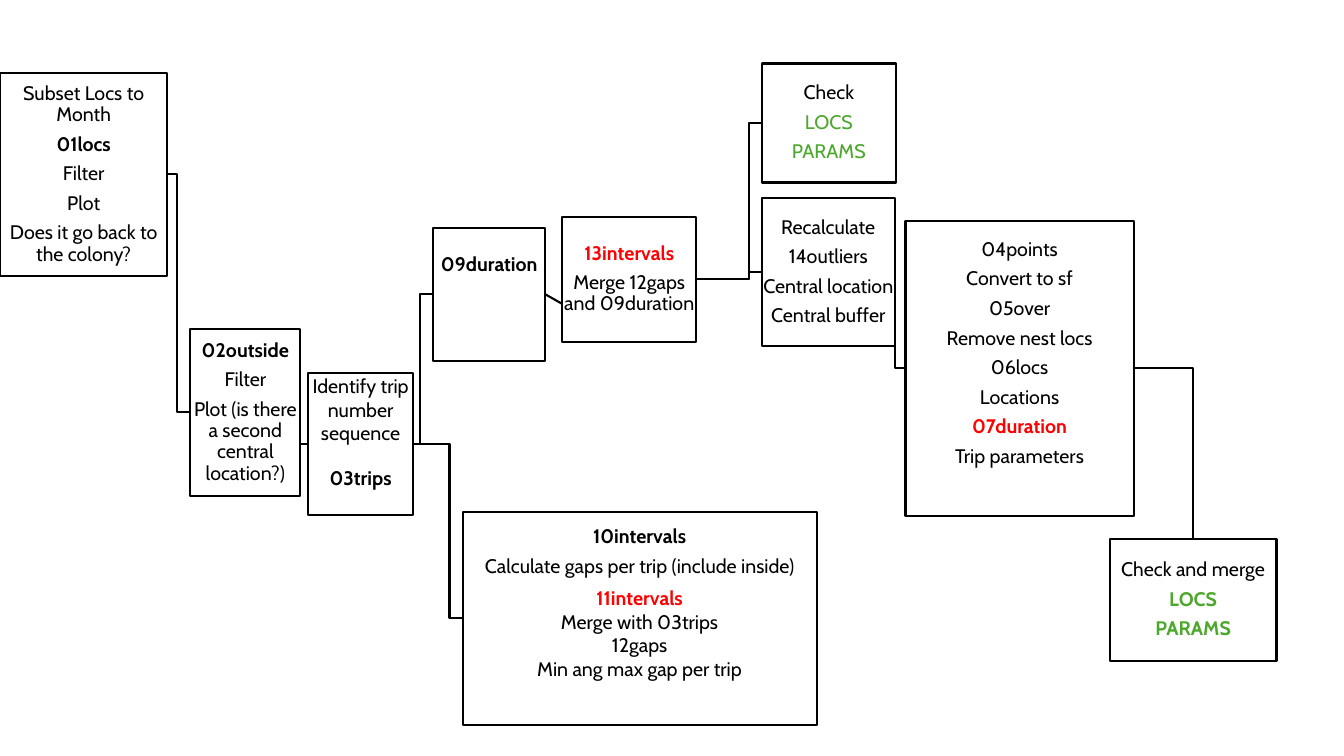
"""Build a slide with a branching flowchart of a trip-analysis workflow."""
from lxml.etree import SubElement
from pptx import Presentation
from pptx.dml.color import RGBColor
from pptx.enum.shapes import MSO_CONNECTOR as CONN, MSO_SHAPE as SHAPE
from pptx.enum.text import MSO_ANCHOR as ANCHOR, PP_ALIGN as ALIGN
from pptx.oxml.ns import qn
from pptx.util import Cm, Pt

COLORS = {"ink": "000000", "paper": "FFFFFF", "red": "FF0000", "green": "4EA72E"}
FONT = "Cabin"
BEND = Cm(0.33)
BLANK_LINE = 0.74

BOLD = {"bold": True}
RED = {"bold": True, "color": "red"}
GREEN = {"color": "green"}
TIGHT = {"spacing": 1.0, "after": 0}

STEPS = {
    "locs": ((0, 1.83, 4.22, 5.13), {}, [
        ("Subset Locs to Month", {}), ("01locs", BOLD), ("Filter", {}),
        ("Plot", {}), ("Does it go back to the colony?", {})]),
    "outside": ((4.8, 8.28, 2.77, 4.22), {}, [
        ("02outside", BOLD), ("Filter", {}),
        ("Plot (is there a second central location?)", {})]),
    "trips": ((7.77, 9.4, 2.64, 3.58), {"anchor": ANCHOR.TOP}, [
        ("Identify trip number sequence", TIGHT),
        ("03trips", {"bold": True, "before": 17})]),
    "duration": ((10.92, 5.74, 2.82, 3.35), {"lift": 2 * BLANK_LINE}, [
        ("09duration", BOLD)]),
    "merge": ((14.17, 5.46, 3.38, 3.15), {}, [
        ("13intervals", RED), ("Merge 12gaps and 09duration", {})]),
    "check": ((19.2, 1.6, 3.38, 3), {}, [
        ("Check", {}), ("LOCS", GREEN), ("PARAMS", GREEN)]),
    "recalculate": ((19.2, 5, 3.35, 3.72), {}, [
        ("Recalculate", {}), ("14outliers", {}),
        ("Central location", {}), ("Central buffer", {})]),
    "points": ((22.82, 5.56, 5.75, 7.44), {"lift": BLANK_LINE}, [
        ("04points", {}), ("Convert to sf", {}), ("05over", {}),
        ("Remove nest locs", {}), ("06locs", {}), ("Locations", {}),
        ("07duration", RED), ("Trip parameters", {})]),
    "final": ((27.97, 13.59, 4.2, 3.06), {}, [
        ("Check and merge", {}), ("LOCS", BOLD | GREEN), ("PARAMS", BOLD | GREEN)]),
    "gaps": ((11.66, 12.9, 8.92, 5.36), {"lift": BLANK_LINE}, [
        ("10intervals", BOLD), ("Calculate gaps per trip (include inside)", {}),
        ("11intervals", RED | TIGHT), ("Merge with 03trips", TIGHT),
        ("12gaps", TIGHT), ("Min ang max gap per trip", TIGHT)]),
}

ELBOWS = [("trips", "gaps"), ("recalculate", "points"), ("merge", "recalculate"),
          ("merge", "check"), ("trips", "duration"), ("outside", "trips"),
          ("locs", "outside")]


def rgb(name):
    """Return the named colour."""
    return RGBColor.from_string(COLORS[name])


def style_line(shape):
    """Give a shape or connector the common outline."""
    shape.line.color.rgb = rgb("ink")
    shape.line.width = Pt(1.5)


def add_text(p, text, bold=False, color="ink", spacing=0.9, before=0, after=6):
    """Write one centred, formatted paragraph."""
    p.alignment = ALIGN.CENTER
    p.line_spacing = spacing
    p.space_before, p.space_after = Pt(before), Pt(after)
    r = p.add_run()
    r.text = text
    r.font.name, r.font.size, r.font.bold = FONT, Pt(14), bold
    r.font.color.rgb = rgb(color)


def add_step(s, box, lines, anchor=ANCHOR.MIDDLE, lift=0):
    """Draw one step in its box, with the text raised by a deeper bottom margin."""
    sp = s.shapes.add_shape(SHAPE.RECTANGLE, *map(Cm, box))
    sp.shadow.inherit = False
    sp.fill.solid()
    sp.fill.fore_color.rgb = rgb("paper")
    style_line(sp)
    tf = sp.text_frame
    tf.word_wrap = True
    tf.vertical_anchor = anchor
    tf.margin_left = tf.margin_top = tf.margin_right = Cm(0.03)
    tf.margin_bottom = Cm(0.03 + lift)
    for i, (text, fmt) in enumerate(lines):
        add_text(tf.add_paragraph() if i else tf.paragraphs[0], text, **fmt)


def sides(box):
    """Return the midpoints of the sides of a box."""
    x, y, w, h = map(Cm, box)
    return {"left": (x, y + h // 2), "right": (x + w, y + h // 2),
            "top": (x + w // 2, y), "bottom": (x + w // 2, y + h)}


def add_route(s, points):
    """Draw an open line through the points."""
    fb = s.shapes.build_freeform(*points[0])
    fb.add_line_segments(points[1:], close=False)
    sp = fb.convert_to_shape()
    sp.shadow.inherit = False
    sp.fill.background()
    style_line(sp)


def add_elbow(s, source, target):
    """Join two boxes sideways, bending just before the target."""
    start, end = sides(source)["right"], sides(target)["left"]
    bend = max(start[0], end[0] - BEND)
    add_route(s, [start, (bend, start[1]), (bend, end[1]), end])


def add_straight(s, start, end):
    """Join two points with a straight connector."""
    line = s.shapes.add_connector(CONN.STRAIGHT, *start, *end)
    style_line(line)
    SubElement(line._element.spPr, qn("a:effectLst"))


def add_flowchart(s):
    """Draw the links, then the steps over them."""
    boxes = {name: step[0] for name, step in STEPS.items()}
    for source, target in ELBOWS:
        add_elbow(s, boxes[source], boxes[target])
    start, end = sides(boxes["points"])["right"], sides(boxes["final"])["top"]
    add_route(s, [start, (end[0], start[1]), end])
    add_straight(s, sides(boxes["duration"])["right"], sides(boxes["merge"])["bottom"])
    for box, options, lines in STEPS.values():
        add_step(s, box, lines, **options)


def main():
    """Create and save the presentation."""
    prs = Presentation()
    prs.slide_width, prs.slide_height = Cm(33.87), Cm(19.05)
    add_flowchart(prs.slides.add_slide(prs.slide_layouts[6]))
    prs.save("out.pptx")


if __name__ == "__main__":
    main()
